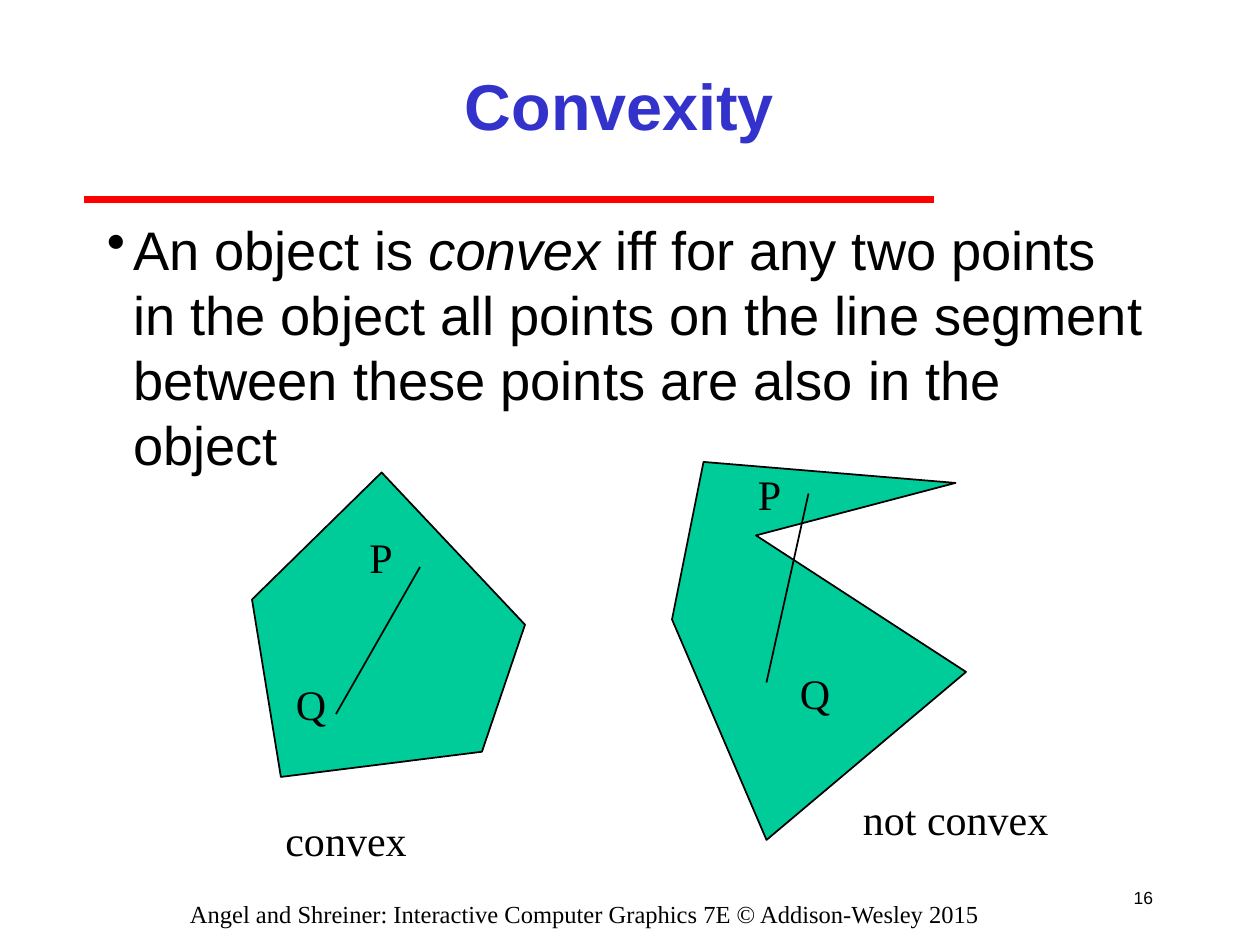
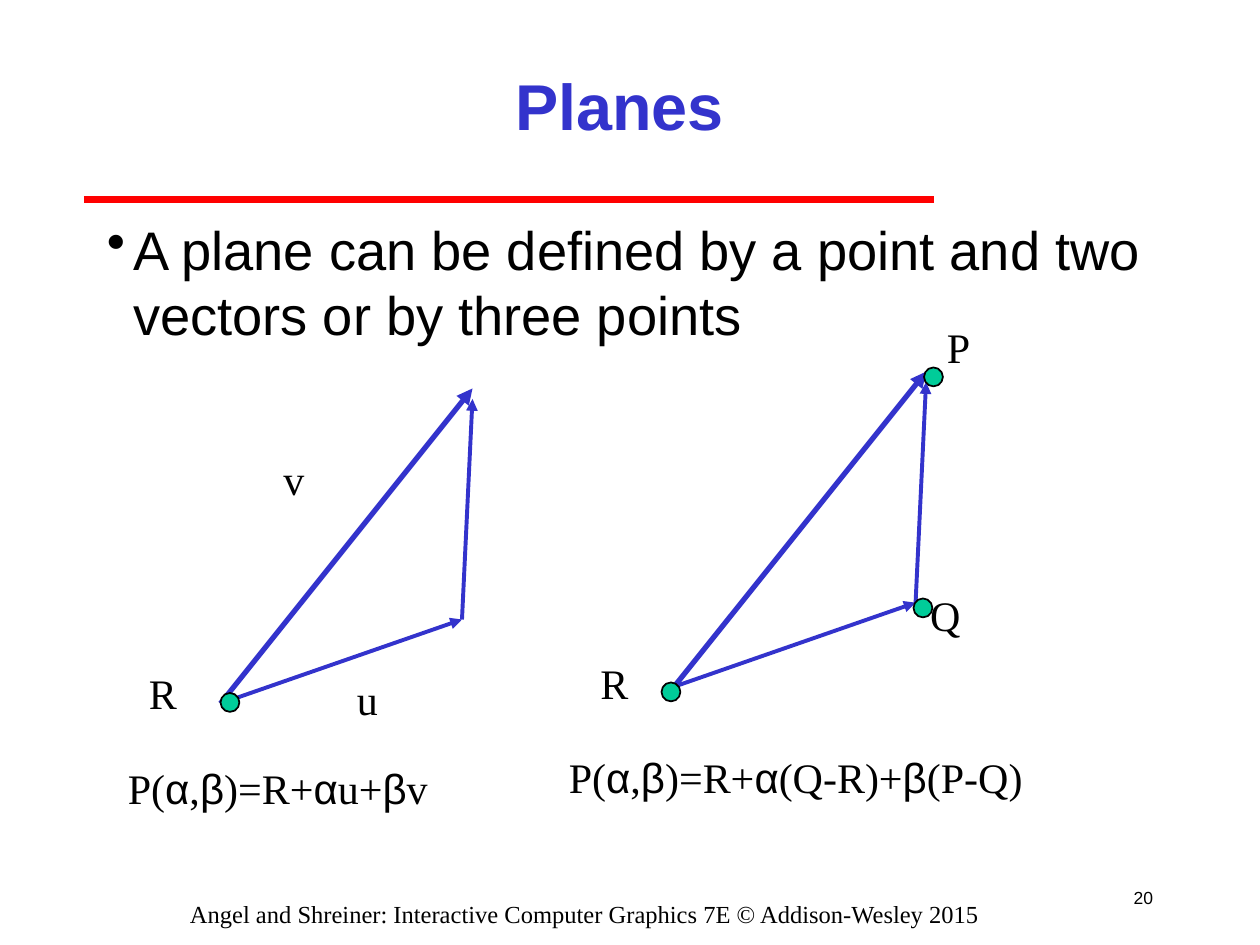
import itertools
from dataclasses import dataclass

import pptx
import pptx.dml.color
import pptx.enum.shapes
import pptx.enum.text
import pptx.oxml.ns
import pptx.util
from lxml import etree

COLUMNS, ROWS = 120, 90  # grid of twelfths of an inch
CELL = pptx.util.Inches(10) // COLUMNS
DOT_SIZE = 1.8
ALIGN = pptx.enum.text.PP_ALIGN
ANCHOR = pptx.enum.text.MSO_ANCHOR


@dataclass(frozen=True)
class Theme:
    ink: str = "000000"
    accent: str = "3333CC"
    rule: str = "FF0000"
    fill: str = "00CC99"
    sans: str = "Arial"
    serif: str = "Times New Roman"
    title_size: float = 37
    body_size: float = 31
    label_size: float = 24
    footer_size: float = 14
    number_size: float = 10
    thin: float = 1
    medium: float = 2.25
    thick: float = 3
    rule_width: float = 4


THEME = Theme()
FOOTER = "Angel and Shreiner: Interactive Computer Graphics 7E © Addison-Wesley 2015"


def cells(count):
    return pptx.util.Emu(round(count * CELL))


def rgb(color):
    return pptx.dml.color.RGBColor.from_string(color)


def add_xml(parent, tag, **attributes):
    return etree.SubElement(parent, pptx.oxml.ns.qn(tag), attributes)


def style_font(font, name, size, color=THEME.ink, bold=None):
    font.name, font.size, font.bold = name, pptx.util.Pt(size), bold
    font.color.rgb = rgb(color)


# Text elements
def add_text(slide, box, align=ALIGN.LEFT, anchor=ANCHOR.TOP, wrap=True):
    shape = slide.shapes.add_textbox(*map(cells, box))
    frame = shape.text_frame
    frame.word_wrap, frame.vertical_anchor = wrap, anchor
    paragraph = frame.paragraphs[0]
    paragraph.alignment = align
    return paragraph


def add_line_of_text(slide, text, box, name, size, color=THEME.ink, bold=None, **layout):
    paragraph = add_text(slide, box, **layout)
    paragraph.text = text
    style_font(paragraph.font, name, size, color, bold)


def add_label(slide, text, left, top, width):
    add_line_of_text(slide, text, (left, top, width, 6), THEME.serif,
                     THEME.label_size, wrap=False)


def add_equation(slide, text, left, top, width):
    paragraph = add_text(slide, (left, top, width, 6), wrap=False)
    style_font(paragraph.font, THEME.serif, THEME.label_size)
    for greek, letters in itertools.groupby(text, lambda letter: letter in "αβ"):
        run = paragraph.add_run()
        run.text = "".join(letters)
        run.font.name = THEME.sans if greek else THEME.serif


def add_bullet(slide, *parts):
    """Write one bullet; every second part is in italics."""
    paragraph = add_text(slide, (9, 20, 102, 62))
    properties = paragraph._p.get_or_add_pPr()
    indent = pptx.util.Inches(0.21)
    properties.set("marL", str(indent))
    properties.set("indent", str(-indent))
    add_xml(properties, "a:buChar", char="•")
    style_font(paragraph.font, THEME.sans, THEME.body_size)
    for index, part in enumerate(parts):
        run = paragraph.add_run()
        run.text = part
        run.font.italic = index % 2 == 1


# Drawn elements
def add_line(slide, start, end, color=THEME.ink, width=THEME.thin, arrow=False):
    line = slide.shapes.add_connector(pptx.enum.shapes.MSO_CONNECTOR.STRAIGHT,
                                      *map(cells, (*start, *end)))
    line.line.color.rgb = rgb(color)
    line.line.width = pptx.util.Pt(width)
    if arrow:
        add_xml(line.line._get_or_add_ln(), "a:tailEnd", type="triangle")
    add_xml(line._element.spPr, "a:effectLst")


def paint(shape):
    shape.shadow.inherit = False
    shape.fill.solid()
    shape.fill.fore_color.rgb = rgb(THEME.fill)
    shape.line.color.rgb = rgb(THEME.ink)
    shape.line.width = pptx.util.Pt(THEME.thin)


def add_polygon(slide, *corners):
    points = [(cells(x), cells(y)) for x, y in corners]
    builder = slide.shapes.build_freeform(*points[0])
    builder.add_line_segments(points[1:], close=True)
    paint(builder.convert_to_shape())


def add_dot(slide, left, top):
    paint(slide.shapes.add_shape(pptx.enum.shapes.MSO_SHAPE.OVAL,
                                 *map(cells, (left, top, DOT_SIZE, DOT_SIZE))))


def add_vector_triangle(slide, left, bottom):
    origin, corner = (left, bottom), (left + 23, bottom - 8)
    add_line(slide, origin, (left + 24, bottom - 30), THEME.accent, THEME.thick, True)
    add_line(slide, origin, corner, THEME.accent, THEME.medium, True)
    add_line(slide, corner, (left + 24, bottom - 29), THEME.accent, THEME.medium, True)


# Shared frame of every slide
def add_slide(presentation, title, number):
    slide = presentation.slides.add_slide(presentation.slide_layouts[6])
    add_line(slide, (8, 19), (89, 19), THEME.rule, THEME.rule_width)
    add_line_of_text(slide, str(number), (106, 83, 5, 5), THEME.sans, THEME.number_size,
                     align=ALIGN.RIGHT, anchor=ANCHOR.MIDDLE, wrap=False)
    add_line_of_text(slide, title, (18, 3, 82, 14), THEME.sans, THEME.title_size,
                     THEME.accent, True, align=ALIGN.CENTER, anchor=ANCHOR.MIDDLE)
    add_line_of_text(slide, FOOTER, (10.7, 85, 90, 3), THEME.serif, THEME.footer_size,
                     align=ALIGN.CENTER)
    return slide


def build_convexity(presentation):
    slide = add_slide(presentation, "Convexity", 16)
    add_bullet(slide, "An object is ", "convex",
               " iff for any two points in the object all points on the line segment "
               "between these points are also in the object")
    # Convex and non-convex outlines, each with a segment PQ
    add_polygon(slide, (24, 57.1), (36.35, 45), (50, 59.5), (45.9, 71.6), (26.75, 74))
    add_polygon(slide, (64, 59), (67, 44), (91, 46), (72, 51), (92, 64), (73, 80))
    add_line(slide, (32, 68), (40, 54))
    add_line(slide, (77, 47), (73, 65))
    for text, left, top, width in (
            ("P", 34, 50, 4.6), ("Q", 27, 64, 5.3), ("Q", 75, 63, 5.3), ("P", 71, 44, 4.6),
            ("convex", 26, 77, 14.5), ("not convex", 81, 75, 20.7)):
        add_label(slide, text, left, top, width)


def build_planes(presentation):
    slide = add_slide(presentation, "Planes", 20)
    add_bullet(slide, "A plane can be defined by a point and two vectors or by three points")
    # A point with two vectors, and three points
    add_equation(slide, "P(α,β)=R+αu+βv", 11, 72, 31.1)
    add_equation(slide, "P(α,β)=R+α(Q-R)+β(P-Q)", 53, 71, 45.8)
    add_vector_triangle(slide, 21, 67)
    add_vector_triangle(slide, 64.2, 65.4)
    for left, top in ((21, 66), (63, 65), (87, 57), (88, 35)):
        add_dot(slide, left, top)
    for text, left, top, width in (
            ("u", 32.8, 63.6, 4.3), ("v", 25.8, 42.6, 4.3), ("R", 13, 63, 5),
            ("P", 89, 30, 4.6), ("R", 56, 62, 5), ("Q", 87.4, 55.6, 5.3)):
        add_label(slide, text, left, top, width)


def main():
    presentation = pptx.Presentation()
    presentation.slide_width = cells(COLUMNS)
    presentation.slide_height = cells(ROWS)
    build_convexity(presentation)
    build_planes(presentation)
    presentation.save("out.pptx")


if __name__ == "__main__":
    main()
